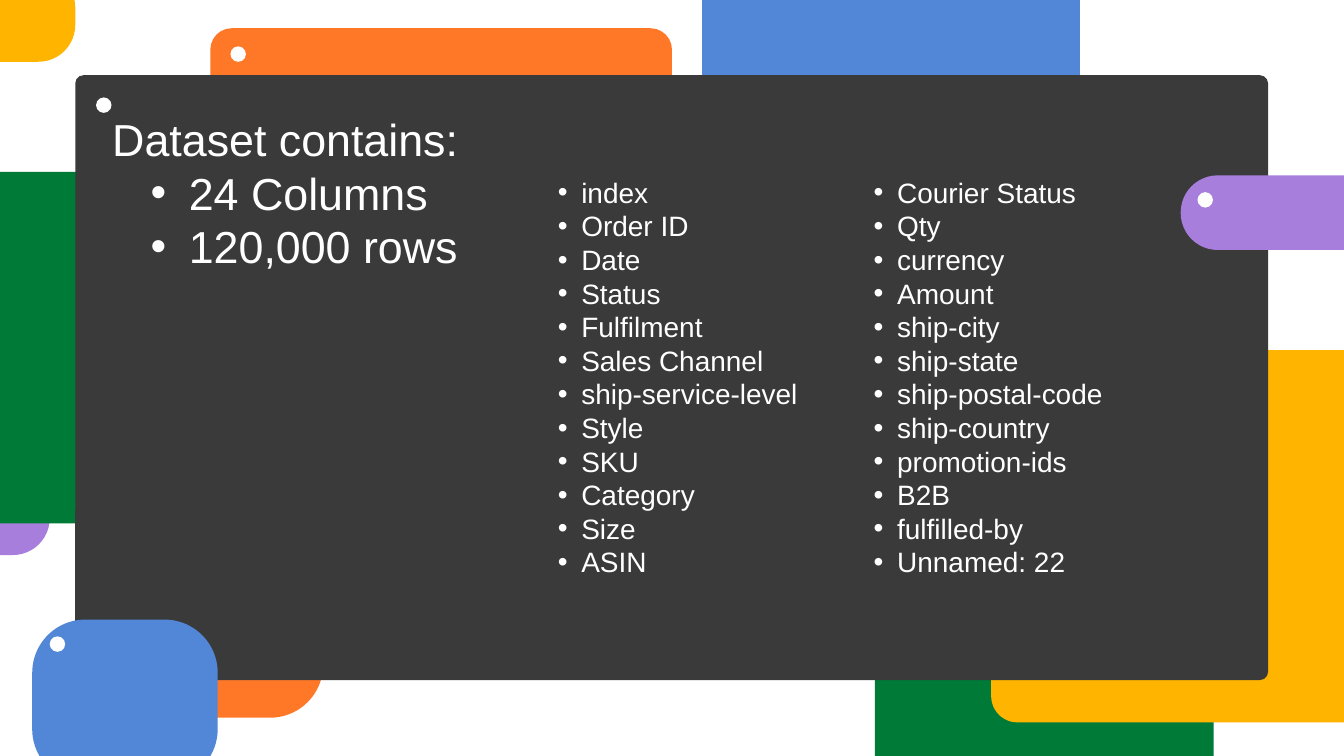
from typing import NamedTuple

from pptx import Presentation
from pptx.dml.color import RGBColor
from pptx.enum.shapes import MSO_SHAPE as Shape
from pptx.enum.text import MSO_AUTO_SIZE as AutoSize
from pptx.oxml.ns import qn
from pptx.util import Inches, Pt
from lxml.etree import SubElement

COLORS = {
    "purple": "A77EDB", "yellow": "FFB400", "green": "007B37",
    "orange": "FF7828", "blue": "5286D6", "panel": "3A3A3A", "white": "FFFFFF",
}
FONT = "Arial"
DOT_SIZE = 0.23


class Block(NamedTuple):
    color: str
    left: float
    top: float
    width: float
    height: float
    radius: float


class TextBlock(NamedTuple):
    left: float
    top: float
    width: float
    height: float
    size: int
    indent: float  # hanging indent; the text starts at twice this
    heading: str
    items: list[str]


# Back to front
BLOCKS = [
    Block("purple", -3.25, 7.15, 3.99, 1.11, 0.55),
    Block("yellow", -2.87, -0.44, 3.99, 1.36, 0.55),
    Block("green", -0.96, 2.56, 5.04, 5.23, 0.44),
    Block("green", 13.02, 8.41, 5.04, 3.83, 0.44),
    Block("orange", 3.13, 0.42, 6.87, 4.37, 0.32),
    Block("yellow", 14.75, 5.21, 5.62, 5.54, 0.39),
    Block("blue", 10.45, -0.88, 5.62, 5.06, 0.39),
    Block("orange", 2.05, 8.26, 2.76, 2.42, 0.79),
    Block("panel", 1.12, 1.12, 17.75, 9, 0.12),
    Block("purple", 17.57, 2.61, 3.99, 1.11, 0.55),
    Block("blue", 0.48, 9.22, 2.76, 2.42, 0.79),
]
DOTS = [(1.43, 1.45), (17.82, 2.86), (0.74, 9.47), (3.43, 0.69)]
TEXTS = [
    TextBlock(1.67, 1.66, 7.17, 2.36, 48, 0.57, "Dataset contains:",
              ["24 Columns", "120,000 rows"]),
    TextBlock(7.95, 2.61, 4.69, 6.01, 30, 0.35, "",
              ["index", "Order ID", "Date", "Status", "Fulfilment",
               "Sales Channel", "ship-service-level", "Style", "SKU",
               "Category", "Size", "ASIN"]),
    TextBlock(12.65, 2.61, 4.69, 6.01, 30, 0.35, "",
              ["Courier Status", "Qty", "currency", "Amount", "ship-city",
               "ship-state", "ship-postal-code", "ship-country",
               "promotion-ids", "B2B", "fulfilled-by", "Unnamed: 22"]),
]


def rgb(name: str) -> RGBColor:
    return RGBColor.from_string(COLORS[name])


def add_filled(s, kind, color: str, *box: float):
    sp = s.shapes.add_shape(kind, *map(Inches, box))
    sp.shadow.inherit = False
    sp.fill.solid()
    sp.fill.fore_color.rgb = rgb(color)
    sp.line.fill.background()
    return sp


def add_block(s, b: Block) -> None:
    sp = add_filled(s, Shape.ROUNDED_RECTANGLE, b.color,
                    b.left, b.top, b.width, b.height)
    sp.adjustments[0] = min(0.5, b.radius / min(b.width, b.height))


def set_bullet(p, indent: float) -> None:
    p.level = 1
    pPr = p._p.get_or_add_pPr()
    pPr.set("marL", str(Inches(2 * indent)))
    pPr.set("indent", str(-Inches(indent)))
    SubElement(pPr, qn("a:buFont")).set("typeface", FONT)
    SubElement(pPr, qn("a:buChar")).set("char", "•")


def add_text(s, t: TextBlock) -> None:
    box = map(Inches, (t.left, t.top, t.width, t.height))
    tf = s.shapes.add_textbox(*box).text_frame
    tf.word_wrap = True
    tf.auto_size = AutoSize.SHAPE_TO_FIT_TEXT
    tf.margin_left = tf.margin_right = tf.margin_top = tf.margin_bottom = 0
    heading = [t.heading] if t.heading else []
    tf.text = "\n".join(heading + t.items)
    for i, p in enumerate(tf.paragraphs):
        if i >= len(heading):
            set_bullet(p, t.indent)
        p.line_spacing = Pt(t.size * 1.2)
        for r in p.runs:
            r.font.name = FONT
            r.font.size = Pt(t.size)
            r.font.color.rgb = rgb("white")


def main() -> None:
    prs = Presentation()
    prs.slide_width, prs.slide_height = Inches(20), Inches(11.25)
    s = prs.slides.add_slide(prs.slide_layouts[6])

    # Coloured blocks and the dark panel
    for block in BLOCKS:
        add_block(s, block)

    # Corner dots
    for left, top in DOTS:
        add_filled(s, Shape.OVAL, "white", left, top, DOT_SIZE, DOT_SIZE)

    # Summary and the two column lists
    for text in TEXTS:
        add_text(s, text)

    prs.save("out.pptx")


if __name__ == "__main__":
    main()
